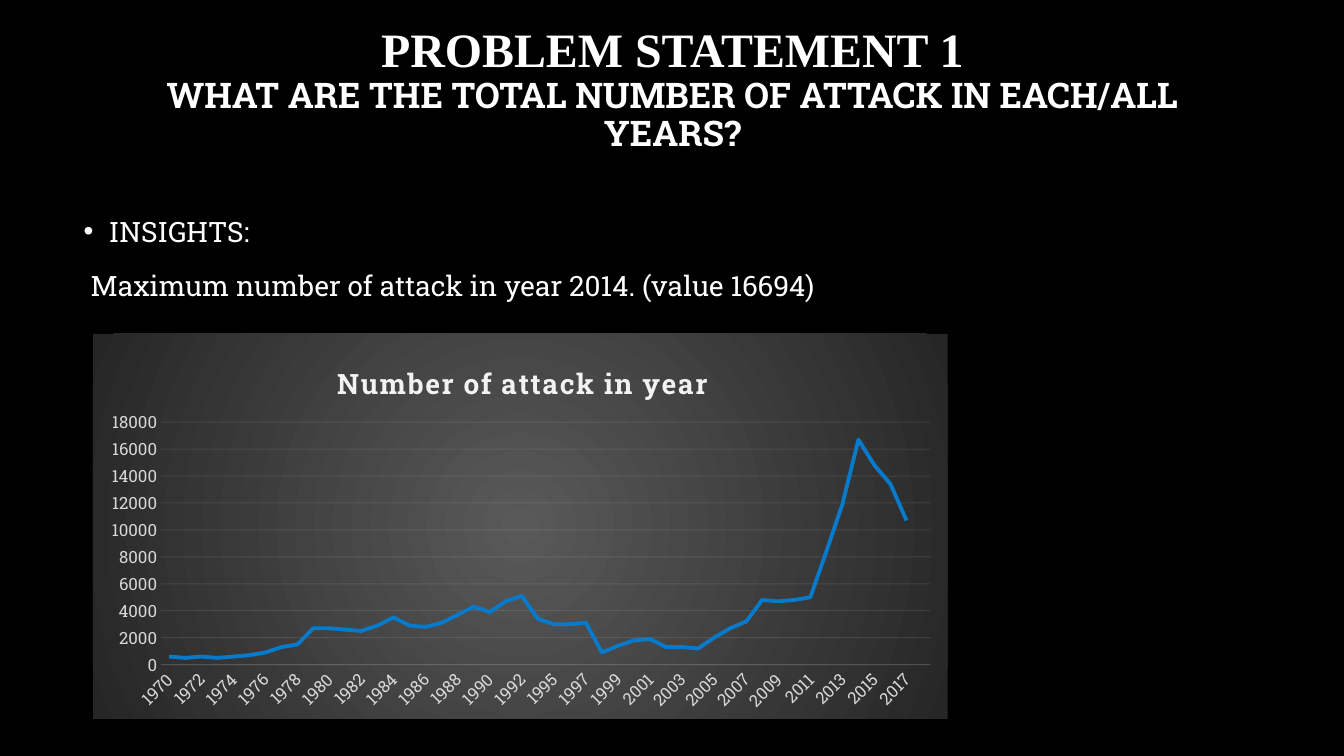
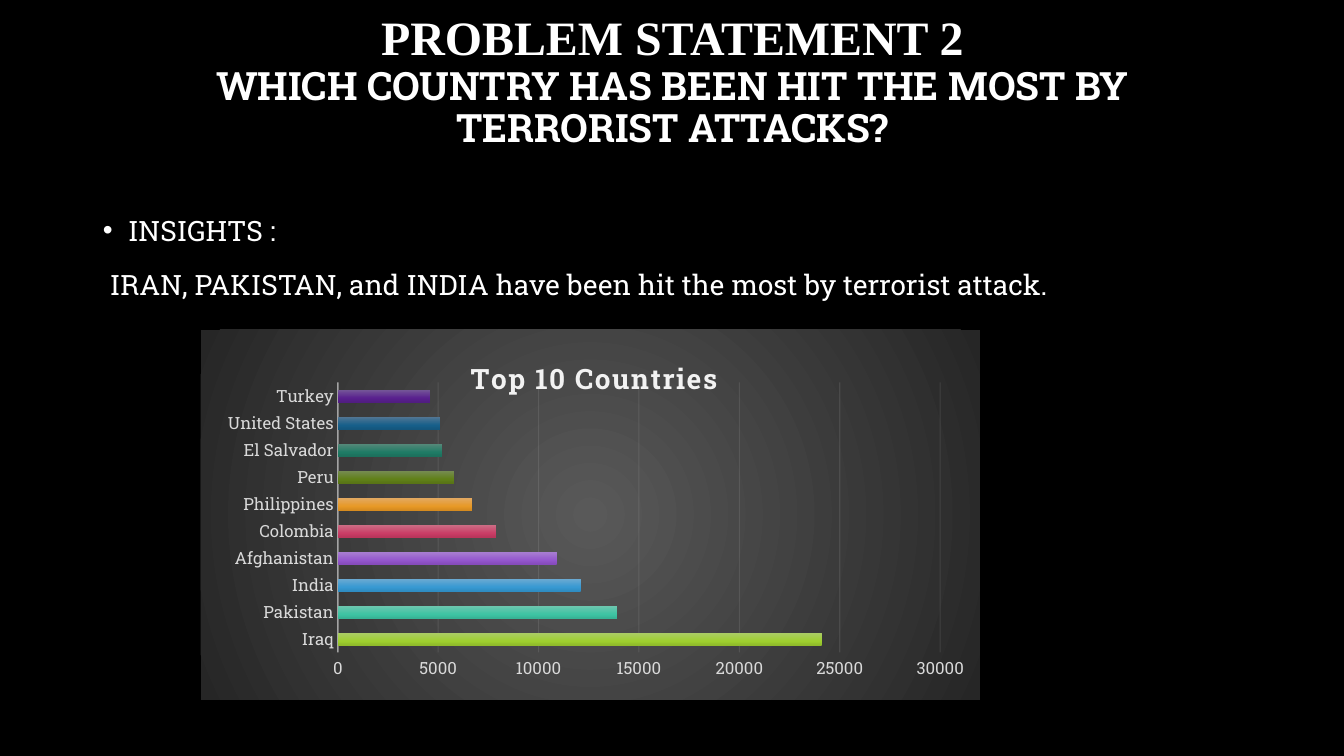
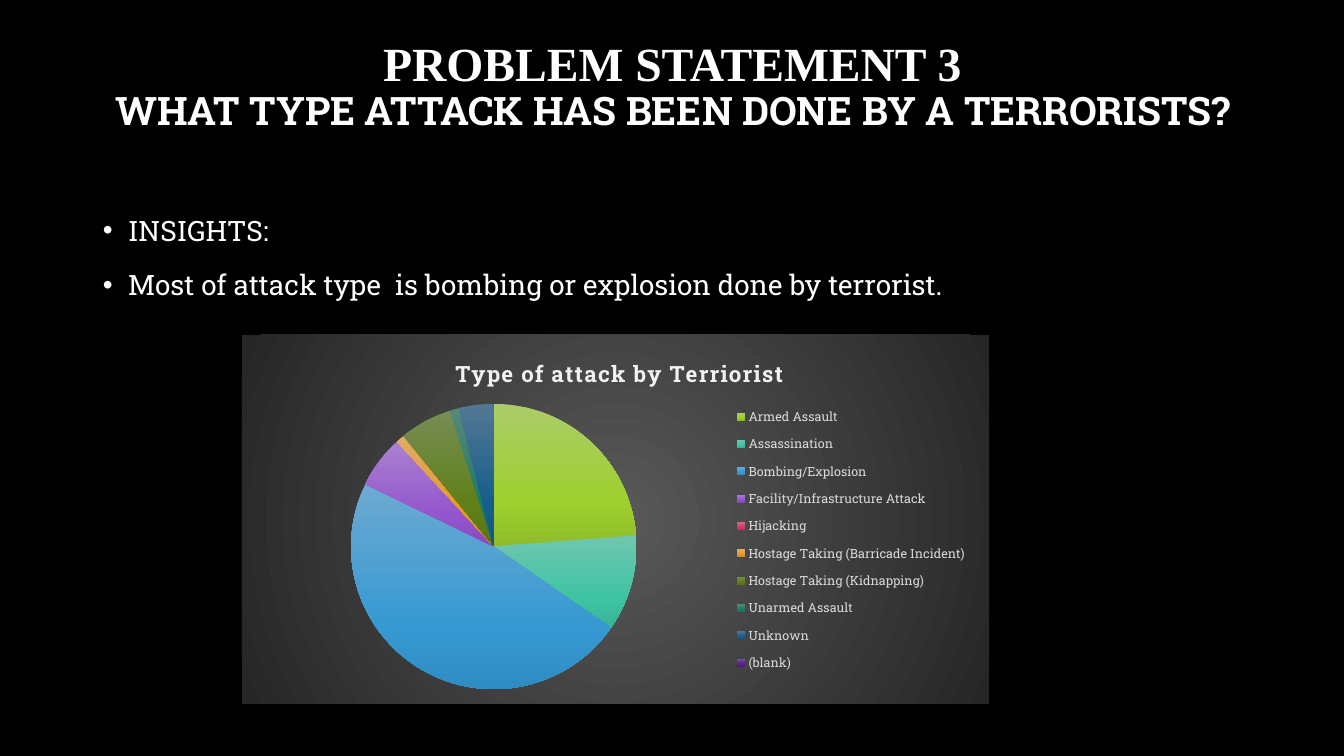
from dataclasses import dataclass

from lxml import etree
from pptx import Presentation
from pptx.chart.data import CategoryChartData
from pptx.dml.color import RGBColor
from pptx.enum.chart import XL_CHART_TYPE, XL_LEGEND_POSITION, XL_TICK_MARK
from pptx.enum.text import MSO_ANCHOR, MSO_AUTO_SIZE, PP_ALIGN
from pptx.oxml import parse_xml
from pptx.oxml.ns import nsdecls, qn
from pptx.util import Inches, Pt

LINE = XL_CHART_TYPE.LINE
BAR = XL_CHART_TYPE.BAR_CLUSTERED
PIE = XL_CHART_TYPE.PIE
NO_TICK = XL_TICK_MARK.NONE
LEGEND_RIGHT = XL_LEGEND_POSITION.RIGHT
MIDDLE = MSO_ANCHOR.MIDDLE
TOP = MSO_ANCHOR.TOP
NO_AUTOFIT = MSO_AUTO_SIZE.NONE
CENTER = PP_ALIGN.CENTER
LEFT = PP_ALIGN.LEFT


@dataclass(frozen=True)
class Theme:
    background: str = "000000"
    text: str = "FFFFFF"
    label: str = "D9D9D9"
    rule: str = "F2F2F2"
    trend: str = "077ACC"
    panel: tuple = ((0, "595959"), (100, "262626"))
    accents: tuple = (
        ("ABCC69", "9ECF2E", "90BC2A"),
        ("70C6AF", "3EC4A3", "37B395"),
        ("6DAAD2", "3799D2", "2F8CC2"),
        ("A981D1", "9456CD", "864BBC"),
        ("CC7087", "CA3D66", "BA355B"),
        ("E2AA66", "E79926", "D68B1F"),
        ("778C54", "608018", "587416"),
        ("57897A", "1F7B65", "1C705C"),
        ("547794", "165F8A", "14567D"),
        ("755898", "59208E", "511D81"),
    )
    font: str = "Roboto Slab"
    heading_font: str = "Times New Roman"
    body_size: float = 20
    chart_size: float = 10
    axis_size: float = 12
    legend_size: float = 9


THEME = Theme()

YEARS = [str(year) for year in range(1970, 2018) if year != 1993] + ["(blank)"]
ATTACKS_BY_YEAR = [
    600, 500, 600, 500, 600, 700, 900, 1300, 1500, 2700, 2700, 2600,
    2500, 2900, 3500, 2900, 2800, 3100, 3700, 4300, 3900, 4700, 5100, 3400,
    3000, 3000, 3100, 900, 1400, 1800, 1900, 1300, 1300, 1200, 2000, 2700,
    3200, 4800, 4700, 4800, 5000, 8400, 11900, 16700, 14800, 13400, 10700, None,
]
ATTACKS_BY_COUNTRY = {
    "Iraq": 24100, "Pakistan": 13900, "India": 12100, "Afghanistan": 10900,
    "Colombia": 7900, "Philippines": 6700, "Peru": 5800, "El Salvador": 5200,
    "United States": 5100, "Turkey": 4600,
}
SHARE_BY_TYPE = {
    "Armed Assault": 24, "Assassination": 11, "Bombing/Explosion": 48,
    "Facility/Infrastructure Attack": 6, "Hijacking": 0,
    "Hostage Taking (Barricade Incident)": 1, "Hostage Taking (Kidnapping)": 6,
    "Unarmed Assault": 1, "Unknown": 4, "(blank)": None,
}


def format_font(font, size, color=THEME.text, name=THEME.font, bold=False):
    font.size = Pt(size)
    font.name = name
    font.bold = bold
    font.color.rgb = RGBColor.from_string(color)


def add_text(para, text, **font_format):
    span = para.add_run()
    span.text = text
    format_font(span.font, **font_format)


def place(box, left, top, width, height):
    box.left, box.top = Inches(left), Inches(top)
    box.width, box.height = Inches(width), Inches(height)


def add_title(page, heading, question, top, heading_size, question_size, bottom_inset=0.05):
    box = page.shapes.title
    place(box, 0.92, top, 11.5, 1.45)
    frame = box.text_frame
    frame.auto_size = NO_AUTOFIT
    frame.vertical_anchor = MIDDLE
    frame.margin_bottom = Inches(bottom_inset)
    para = frame.paragraphs[0]
    para.alignment = CENTER
    para.line_spacing = 0.9
    add_text(para, heading, size=heading_size, name=THEME.heading_font, bold=True)
    para.add_line_break()
    add_text(para, question, size=question_size, bold=True)


def set_bullet(para, bulleted):
    properties = para._p.get_or_add_pPr()
    indent = Inches(0.25) if bulleted else 0
    properties.set("marL", str(indent))
    properties.set("indent", str(-indent))
    if bulleted:
        etree.SubElement(properties, qn("a:buFont")).set("typeface", "Arial")
        etree.SubElement(properties, qn("a:buChar")).set("char", "•")
    else:
        etree.SubElement(properties, qn("a:buNone"))


def add_insights(page, lines, position):
    box = page.placeholders[1]
    place(box, *position)
    frame = box.text_frame
    frame.auto_size = NO_AUTOFIT
    frame.vertical_anchor = TOP
    for index, (text, bulleted) in enumerate(lines):
        para = frame.add_paragraph() if index else frame.paragraphs[0]
        para.alignment = LEFT
        para.line_spacing = 1.2
        para.space_before = Pt(10)
        set_bullet(para, bulleted)
        add_text(para, text, size=THEME.body_size)


def gradient(stops, direction):
    marks = "".join(
        f'<a:gs pos="{position * 1000}"><a:srgbClr val="{color}"/></a:gs>'
        for position, color in stops
    )
    return parse_xml(
        f'<a:gradFill {nsdecls("a")} rotWithShape="1">'
        f"<a:gsLst>{marks}</a:gsLst>{direction}</a:gradFill>"
    )


def fill_panel(chart):
    center = '<a:path path="circle"><a:fillToRect l="50000" t="50000" r="50000" b="50000"/></a:path>'
    properties = parse_xml(f'<c:spPr {nsdecls("c", "a")}><a:ln><a:noFill/></a:ln></c:spPr>')
    properties.insert(0, gradient(THEME.panel, center))
    chart.element.find(qn("c:chart")).addnext(properties)


def fill_points(chart, count):
    points = chart.plots[0].series[0].points
    for index in range(count):
        points[index].format.fill.gradient()
    for point, colors in zip(chart.element.iter(qn("c:dPt")), THEME.accents):
        properties = point.find(qn("c:spPr"))
        stops = zip((0, 69, 100), colors)
        vertical = '<a:lin ang="5400000" scaled="0"/>'
        properties.replace(properties.find(qn("a:gradFill")), gradient(stops, vertical))


def set_layout(parent, index, fractions, inner=False):
    for old in parent.findall(qn("c:layout")):
        parent.remove(old)
    layout = etree.Element(qn("c:layout"))
    manual = etree.SubElement(layout, qn("c:manualLayout"))
    settings = [("layoutTarget", "inner")] if inner else []
    settings += [("xMode", "edge"), ("yMode", "edge")]
    settings += zip("xywh", fractions)
    for name, value in settings:
        etree.SubElement(manual, qn(f"c:{name}")).set("val", str(value))
    parent.insert(index, layout)


def set_line(line, width):
    line.color.rgb = RGBColor.from_string(THEME.rule)
    line.width = Pt(width)


def set_opacity(chart, axis_tag, percent):
    axis = next(chart.element.iter(qn(axis_tag)))
    for line in axis.iter(qn("a:ln")):
        for color in line.iter(qn("a:srgbClr")):
            etree.SubElement(color, qn("a:alpha")).set("val", str(percent * 1000))


def format_axes(chart, maximum, step, line_width, line_opacity):
    for axis in (chart.category_axis, chart.value_axis):
        axis.major_tick_mark = axis.minor_tick_mark = NO_TICK
        format_font(axis.tick_labels.font, THEME.axis_size, THEME.label)
    chart.category_axis.has_major_gridlines = False
    set_line(chart.category_axis.format.line, line_width)
    values = chart.value_axis
    values.minimum_scale, values.maximum_scale, values.major_unit = 0, maximum, step
    values.has_major_gridlines = True
    set_line(values.major_gridlines.format.line, 0.75)
    values.format.line.fill.background()
    set_opacity(chart, "c:catAx", line_opacity)
    set_opacity(chart, "c:valAx", 10)


def add_chart(page, kind, names, values, position, title, title_size, title_at, plot_at):
    data = CategoryChartData()
    data.categories = names
    data.add_series("Series 1", values)
    chart = page.shapes.add_chart(kind, *map(Inches, position), data).chart
    format_font(chart.font, THEME.chart_size)
    chart.has_legend = False
    chart.has_title = True
    frame = chart.chart_title.text_frame
    add_text(frame.paragraphs[0], title, size=title_size, color=THEME.rule, bold=True)
    for properties in frame._txBody.iter(qn("a:rPr")):
        properties.set("spc", "100")
    set_layout(next(chart.element.iter(qn("c:title"))), 1, title_at)
    set_layout(next(chart.element.iter(qn("c:plotArea"))), 0, plot_at, inner=True)
    fill_panel(chart)
    chart.plots[0].vary_by_categories = kind == PIE
    return chart


def add_trend_chart(page):
    chart = add_chart(
        page, LINE, YEARS, ATTACKS_BY_YEAR, (0.92, 3.31, 8.48, 3.82),
        "Number of attack in year", 20, (0.28, 0.06), (0.08, 0.23, 0.9, 0.63),
    )
    format_axes(chart, 18000, 2000, 0.75, 10)
    labels = next(chart.element.iter(qn("c:catAx"))).find(qn("c:txPr"))
    labels.find(qn("a:bodyPr")).set("rot", "-2700000")
    series = chart.plots[0].series[0]
    series.smooth = False
    series.format.line.width = Pt(2.75)
    series.format.line.color.rgb = RGBColor.from_string(THEME.trend)


def add_country_chart(page):
    chart = add_chart(
        page, BAR, ATTACKS_BY_COUNTRY.keys(), ATTACKS_BY_COUNTRY.values(),
        (1.99, 3.27, 7.73, 3.67),
        "Top 10 Countries", 20, (0.34, 0.06), (0.176, 0.143, 0.773, 0.73),
    )
    format_axes(chart, 30000, 5000, 1, 54)
    chart.plots[0].gap_width = 115
    chart.plots[0].overlap = -20
    fill_points(chart, len(ATTACKS_BY_COUNTRY))


def add_type_chart(page):
    chart = add_chart(
        page, PIE, SHARE_BY_TYPE.keys(), SHARE_BY_TYPE.values(),
        (2.4, 3.32, 7.41, 3.66),
        "Type of attack by Terriorist", 16, (0.28, 0.05), (0.146, 0.187, 0.382, 0.775),
    )
    fill_points(chart, len(SHARE_BY_TYPE))
    chart.has_legend = True
    chart.legend.position = LEGEND_RIGHT
    chart.legend.include_in_layout = False
    format_font(chart.legend.font, THEME.legend_size, THEME.label)
    set_layout(next(chart.element.iter(qn("c:legend"))), 1, (0.65, 0.17, 0.33, 0.77))


def main():
    deck = Presentation()
    deck.slide_width, deck.slide_height = Inches(13.33), Inches(7.5)
    background = deck.slide_master.background.fill
    background.solid()
    background.fore_color.rgb = RGBColor.from_string(THEME.background)
    layout = deck.slide_layouts[1]

    page = deck.slides.add_slide(layout)
    add_title(page, "PROBLEM STATEMENT 1",
              "WHAT ARE THE TOTAL NUMBER OF ATTACK IN EACH/ALL YEARS?", 0.17, 34.2, 25.2)
    add_insights(page, [
        ("INSIGHTS:", True),
        (" Maximum number of attack in year 2014. (value 16694)", False),
    ], (0.73, 2.01, 11.28, 5.36))
    add_trend_chart(page)

    page = deck.slides.add_slide(layout)
    add_title(page, "PROBLEM STATEMENT 2",
              "WHICH COUNTRY HAS BEEN HIT THE MOST BY TERRORIST ATTACKS?",
              0.32, 34.2, 27.9, bottom_inset=0.5)
    add_insights(page, [
        ("INSIGHTS :", True),
        (" IRAN, PAKISTAN, and INDIA have been hit the most by terrorist attack.", False),
    ], (0.92, 2, 11.5, 5.17))
    add_country_chart(page)

    page = deck.slides.add_slide(layout)
    add_title(page, "PROBLEM STATEMENT 3",
              "WHAT TYPE ATTACK HAS BEEN DONE BY A TERRORISTS?", 0.14, 34, 28)
    add_insights(page, [
        ("INSIGHTS:", True),
        ("Most of attack type  is bombing or explosion done by terrorist.", True),
    ], (0.92, 2, 11.5, 5.11))
    add_type_chart(page)

    deck.save("out.pptx")


if __name__ == "__main__":
    main()
